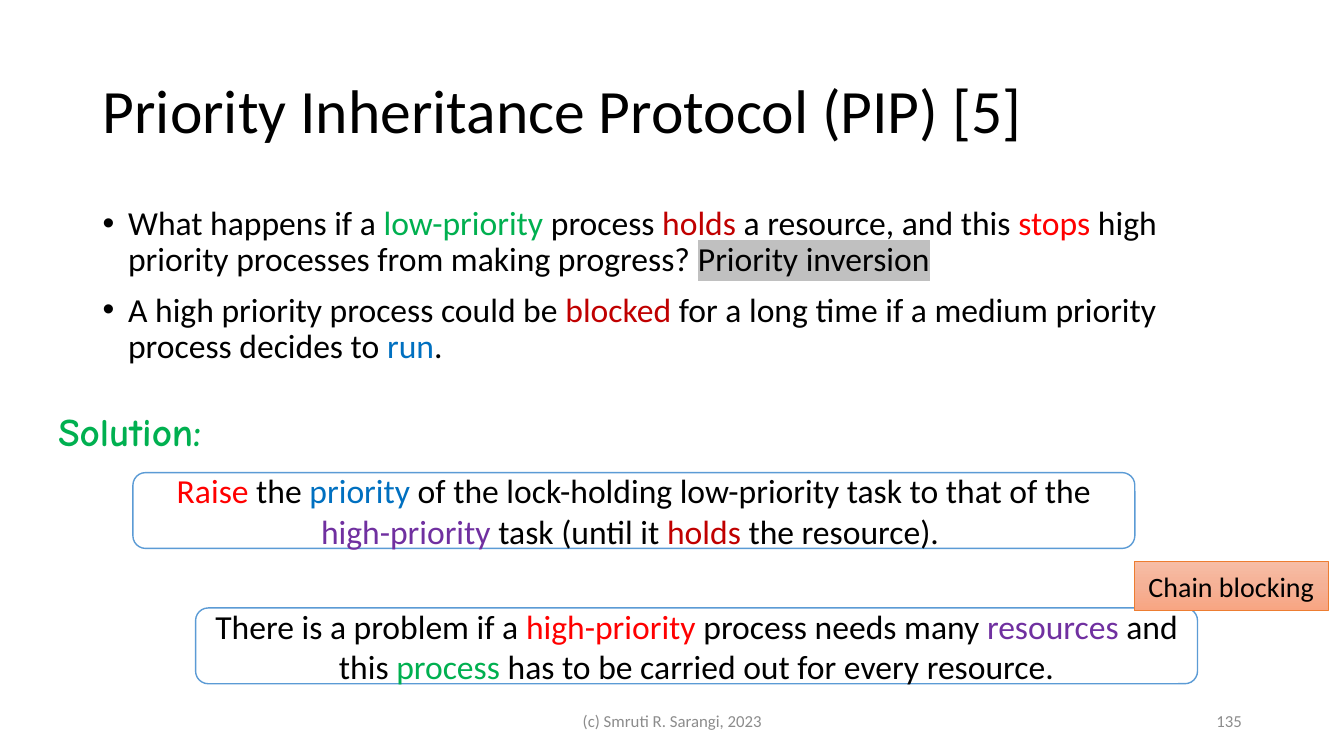
import copy
from dataclasses import dataclass

import pptx
import pptx.dml.color
import pptx.enum.shapes
import pptx.enum.text
import pptx.oxml
import pptx.oxml.ns
import pptx.util
from pptx.util import Cm

ALIGN = pptx.enum.text.PP_ALIGN
ANCHOR = pptx.enum.text.MSO_ANCHOR
SHAPE = pptx.enum.shapes.MSO_SHAPE


@dataclass(frozen=True)
class Theme:
    font: str = "Calibri"
    accent_font: str = "Comic Neue"
    title_size: int = 44
    heading_size: int = 28
    body_size: int = 24
    label_size: int = 20
    footer_size: int = 12
    black: str = "000000"
    white: str = "FFFFFF"
    gray: str = "8C8C8C"
    green: str = "00B050"
    crimson: str = "C00000"
    red: str = "FF0000"
    blue: str = "0070C0"
    purple: str = "7030A0"
    highlight: str = "C0C0C0"
    frame: str = "5B9BD5"
    label_line: str = "ED7D31"
    label_gradient: tuple[str, ...] = ("F7BDA5", "F5B196", "F8A582")


THEME = Theme()


@dataclass(frozen=True)
class Span:
    text: str
    color: str = THEME.black
    highlight: str = ""


@dataclass(frozen=True)
class Area:
    left: float
    top: float
    width: float
    height: float

    def lengths(self) -> tuple[Cm, Cm, Cm, Cm]:
        return Cm(self.left), Cm(self.top), Cm(self.width), Cm(self.height)


@dataclass(frozen=True)
class TextItem:
    area: Area
    paragraphs: list[list[Span]]
    size: int
    align: ALIGN = ALIGN.LEFT
    anchor: ANCHOR = ANCHOR.MIDDLE
    font: str = THEME.font
    bold: bool = False
    line_spacing: float = 1.0
    bulleted: bool = False


@dataclass(frozen=True)
class Panel:
    item: TextItem
    shape: SHAPE
    fills: tuple[str, ...]
    line_color: str
    line_width: float


def rgb(color: str) -> pptx.dml.color.RGBColor:
    return pptx.dml.color.RGBColor.from_string(color)


def element(tag: str, **attributes: str):
    node = pptx.oxml.parse_xml(f"<{tag} {pptx.oxml.ns.nsdecls('a')}/>")
    for name, value in attributes.items():
        node.set(name, value)
    return node


def add_bullet(para) -> None:
    properties = para._p.get_or_add_pPr()
    properties.set("marL", str(Cm(0.64)))
    properties.set("indent", str(Cm(-0.64)))
    properties.append(element("a:buFont", typeface="Arial"))
    properties.append(element("a:buChar", char="•"))


def add_span(para, span: Span, item: TextItem) -> None:
    run = para.add_run()
    run.text = span.text
    run.font.size = pptx.util.Pt(item.size)
    run.font.bold = item.bold
    run.font.color.rgb = rgb(span.color)
    if span.highlight:
        mark = element("a:highlight")
        mark.append(element("a:srgbClr", val=span.highlight))
        run._r.rPr.find(pptx.oxml.ns.qn("a:solidFill")).addnext(mark)
    run.font.name = item.font


def fill_text(box, item: TextItem) -> None:
    frame = box.text_frame
    frame.word_wrap = True
    frame.vertical_anchor = item.anchor
    for index, spans in enumerate(item.paragraphs):
        para = frame.add_paragraph() if index else frame.paragraphs[0]
        if item.bulleted:
            add_bullet(para)
        para.alignment = item.align
        para.line_spacing = item.line_spacing
        para.space_before = pptx.util.Pt(10 if index else 0)
        for span in spans:
            add_span(para, span, item)


def draw_text(page, item: TextItem) -> None:
    fill_text(page.shapes.add_textbox(*item.area.lengths()), item)


def paint(box, fills: tuple[str, ...]) -> None:
    if len(fills) == 1:
        box.fill.solid()
        box.fill.fore_color.rgb = rgb(fills[0])
        return
    box.fill.gradient()
    box.fill.gradient_angle = 270
    stop_list = box._element.spPr.find(pptx.oxml.ns.qn("a:gradFill")).gsLst
    while len(stop_list) < len(fills):
        stop_list.append(copy.deepcopy(stop_list[0]))
    for index, stop in enumerate(box.fill.gradient_stops):
        stop.position = index / (len(fills) - 1)
        stop.color.rgb = rgb(fills[index])


def draw_panel(page, panel: Panel) -> None:
    box = page.shapes.add_shape(panel.shape, *panel.item.area.lengths())
    box.shadow.inherit = False
    paint(box, panel.fills)
    box.line.color.rgb = rgb(panel.line_color)
    box.line.width = pptx.util.Pt(panel.line_width)
    fill_text(box, panel.item)


def statement(left: float, top: float, spans: list[Span]) -> Panel:
    item = TextItem(Area(left, top, 25.25, 1.91), [spans], THEME.body_size, ALIGN.CENTER)
    return Panel(item, SHAPE.ROUNDED_RECTANGLE, (THEME.white,), THEME.frame, 1)


QUESTION = [
    Span("What happens if a "), Span("low-priority", THEME.green),
    Span(" process "), Span("holds", THEME.crimson),
    Span(" a resource, and this "), Span("stops", THEME.red),
    Span(" high priority processes from making progress? "),
    Span("Priority inversion", highlight=THEME.highlight),
]
BLOCKING = [
    Span("A high priority process could be "), Span("blocked", THEME.crimson),
    Span(" for a long time if a medium priority process decides to "),
    Span("run", THEME.blue), Span("."),
]
REMEDY = [
    Span("Raise", THEME.red), Span(" the "), Span("priority", THEME.blue),
    Span(" of the lock-holding low-priority task to that of the "),
    Span("high-priority ", THEME.purple), Span("task (until it "),
    Span("holds", THEME.crimson), Span(" the resource). "),
]
PROBLEM = [
    Span("There is a problem if a "), Span("high-priority", THEME.red),
    Span(" process needs many "), Span("resources", THEME.purple),
    Span(" and this "), Span("process", THEME.green),
    Span(" has to be carried out for every resource."),
]

TEXTS = [
    TextItem(Area(2.34, 1.02, 29.21, 3.68),
             [[Span("Priority Inheritance Protocol (PIP) [5]")]],
             THEME.title_size, line_spacing=0.9),
    TextItem(Area(2.34, 5.08, 29.21, 4.45), [QUESTION, BLOCKING], THEME.body_size,
             anchor=ANCHOR.TOP, line_spacing=0.9, bulleted=True),
    TextItem(Area(11.23, 17.65, 11.43, 1.02),
             [[Span("(c) Smruti R. Sarangi, 2023", THEME.gray)]],
             THEME.footer_size, ALIGN.CENTER),
    TextItem(Area(23.93, 17.65, 7.62, 1.02), [[Span("135", THEME.gray)]],
             THEME.footer_size, ALIGN.RIGHT),
    TextItem(Area(1.22, 10.13, 5.51, 1.45), [[Span("Solution:", THEME.green)]],
             THEME.heading_size, anchor=ANCHOR.TOP, font=THEME.accent_font, bold=True),
]
CHAIN_LABEL = TextItem(Area(28.58, 14.15, 4.9, 1.24), [[Span("Chain blocking")]],
                       THEME.label_size, ALIGN.CENTER)
PANELS = [
    statement(3.35, 11.91, REMEDY),
    statement(4.93, 15.32, PROBLEM),
    Panel(CHAIN_LABEL, SHAPE.RECTANGLE, THEME.label_gradient, THEME.label_line, 0.5),
]


def main() -> None:
    deck = pptx.Presentation()
    deck.slide_width, deck.slide_height = Cm(33.87), Cm(19.05)
    page = deck.slides.add_slide(deck.slide_layouts[6])
    for item in TEXTS:
        draw_text(page, item)
    for panel in PANELS:
        draw_panel(page, panel)
    deck.save("out.pptx")


if __name__ == "__main__":
    main()
